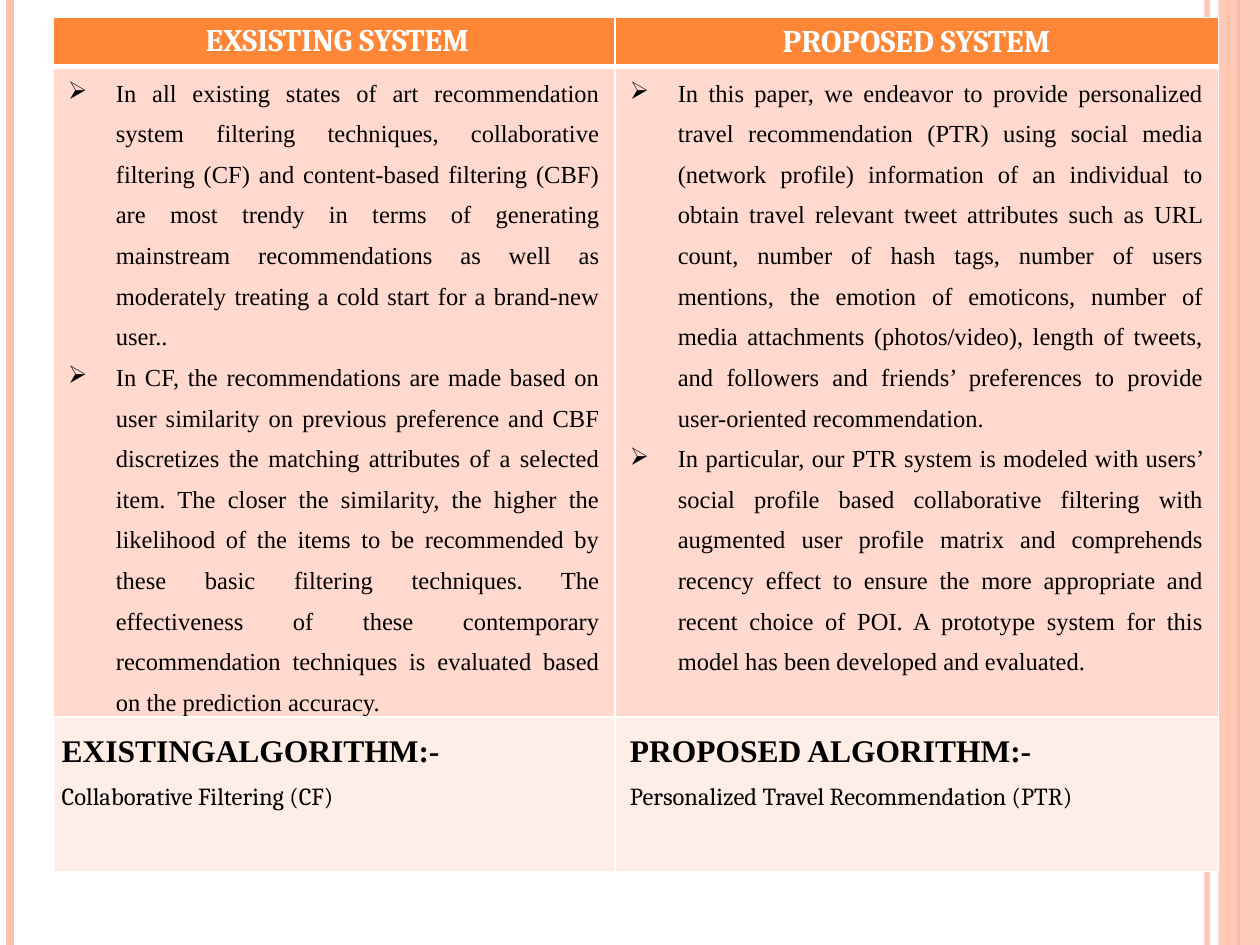
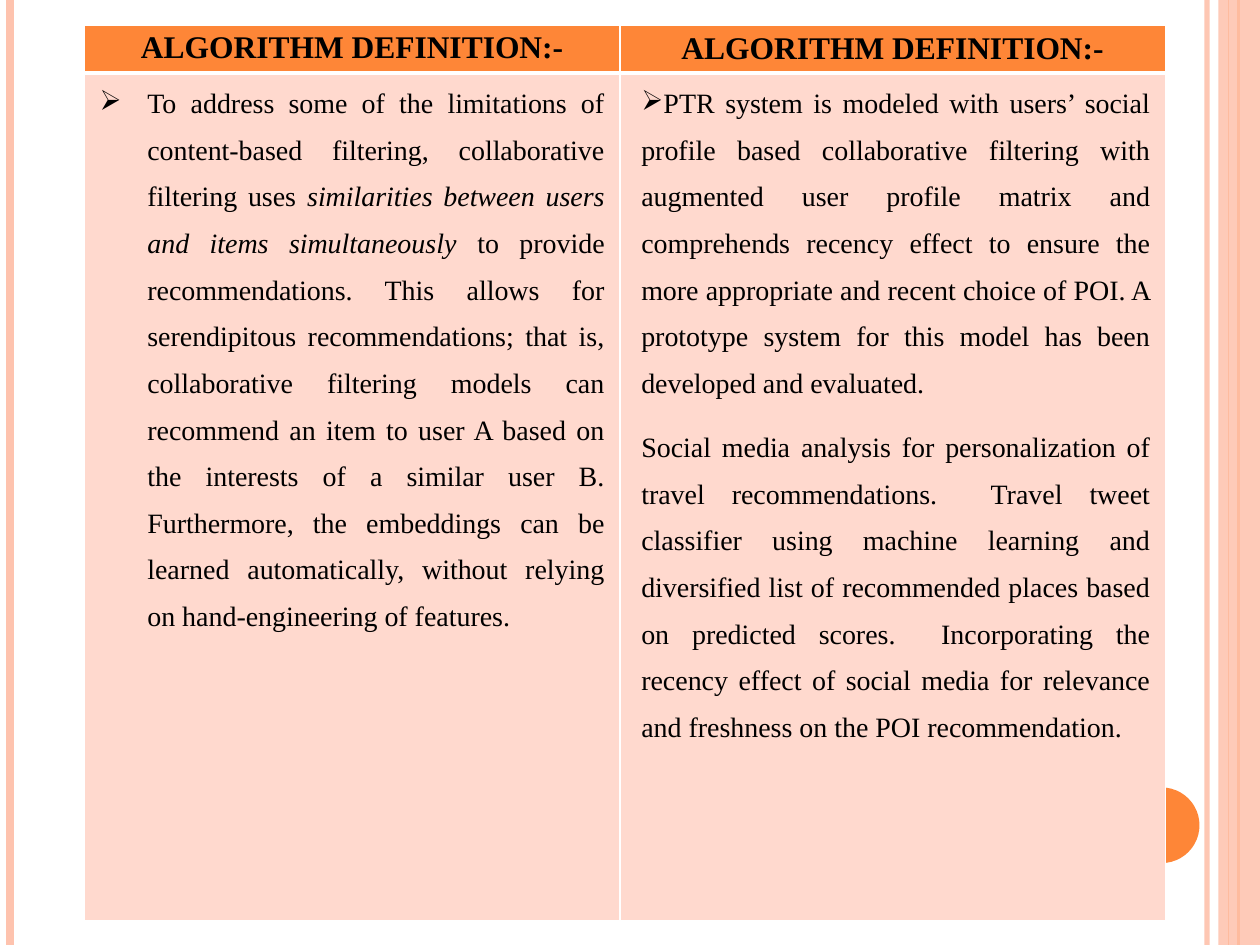
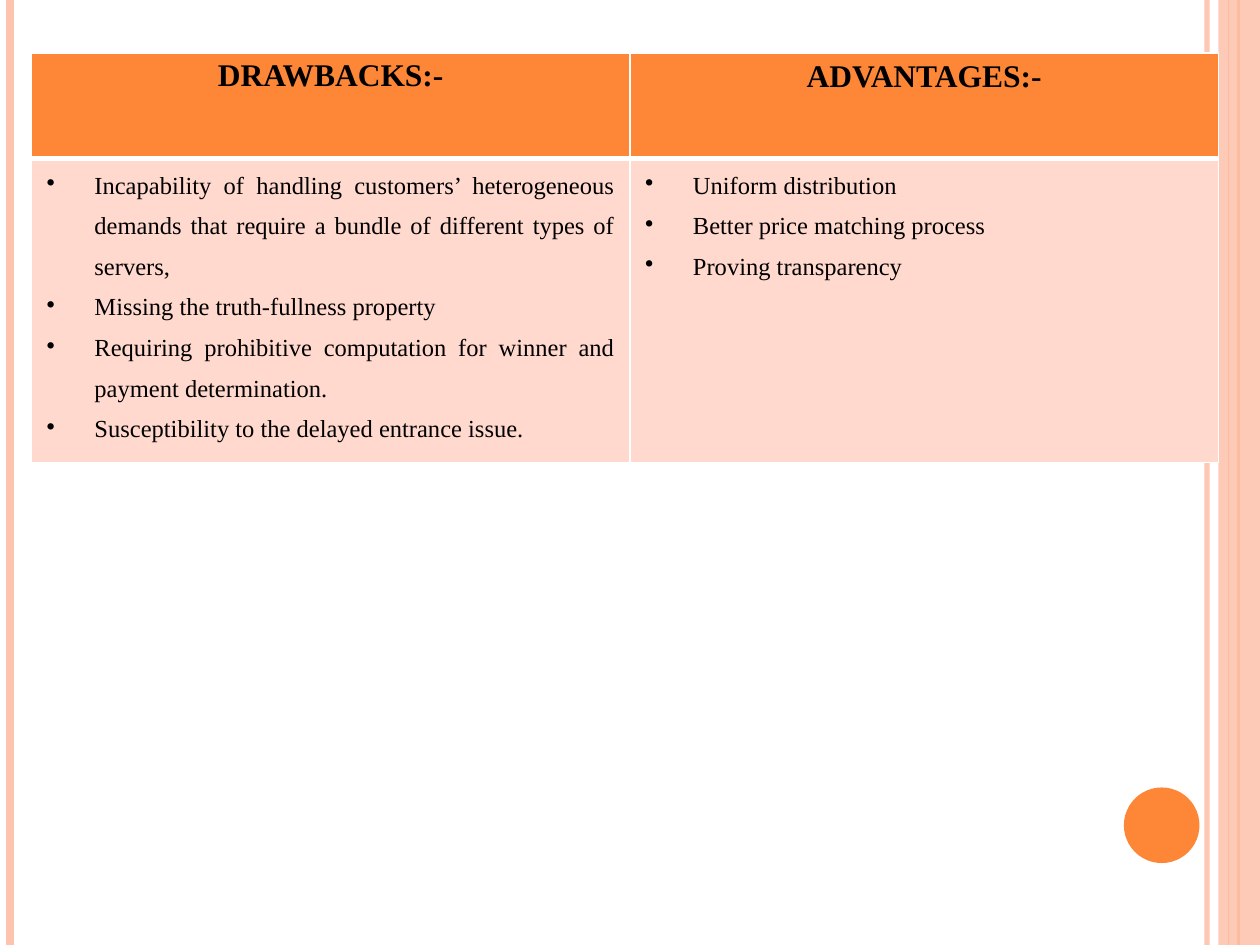
from lxml.etree import SubElement
from pptx import Presentation
from pptx.dml.color import RGBColor
from pptx.enum.shapes import MSO_CONNECTOR as LINK, MSO_SHAPE as SHAPE
from pptx.enum.text import PP_ALIGN as ALIGN
from pptx.oxml.ns import qn
from pptx.util import Pt

ORANGE = RGBColor(0xFE, 0x86, 0x37)
PEACH = RGBColor(0xFE, 0xC3, 0xAE)
BLUSH = RGBColor(0xFF, 0xD9, 0xCE)
PALE = RGBColor(0xFF, 0xED, 0xE8)
WHITE = RGBColor(0xFF, 0xFF, 0xFF)
BLACK = RGBColor(0, 0, 0)
FILLS = (ORANGE, BLUSH, PALE)

SERIF, CAMBRIA = "Times New Roman", "Cambria"
SCALE = 9144  # EMU per px, 100 px to the inch
WIDE, HIGH = 1000, 750
ARROW, DOT = "➢", "•"
HANG = 38

# Bands: x, colour, width in points, opacity in percent
BANDS = [
    (958, PEACH, 3, 93),
    (8, PEACH, 4.5, 100),
    (983, ORANGE, 1.5, 100),
    (975, ORANGE, 0.75, 100),
]


def para(*runs, size=14, font=SERIF, bold=False, mark=None, left=0, hang=0, after=0):
    """One justified body paragraph; a run is a text or a (text, italic) pair."""
    return dict(runs=runs, size=size, font=font, bold=bold, mark=mark,
                left=left, hang=hang, after=after)


def item(*runs, mark=ARROW, size=14):
    return para(*runs, size=size, mark=mark, left=HANG, hang=-HANG)


def dots(*texts):
    return [item(text, mark=DOT) for text in texts]


def method(head, name, left=0):
    return [para(head, size=18, bold=True, left=left),
            para(name, font=CAMBRIA, left=left)]


SLIDES = [
    dict(
        at=(42, 14), cols=(446, 479), rows=(36, 495, 123),
        heads=(" EXSISTING SYSTEM", "PROPOSED SYSTEM"), font=CAMBRIA, ink=WHITE,
        body=[
            ([item("In all existing states of art recommendation system filtering techniques, "
                   "collaborative filtering (CF) and content-based filtering (CBF) are most "
                   "trendy in terms of generating mainstream recommendations as well as "
                   "moderately treating a cold start for a brand-new user.."),
              item("In CF, the recommendations are made based on user similarity on previous "
                   "preference and CBF discretizes the matching attributes of a selected item. "
                   "The closer the similarity, the higher the likelihood of the items to be "
                   "recommended by these basic filtering techniques. The effectiveness of these "
                   "contemporary recommendation techniques is evaluated based on the prediction "
                   "accuracy.")],
             [item("In this paper, we endeavor to provide personalized travel recommendation "
                   "(PTR) using social media (network profile) information of an individual to "
                   "obtain travel relevant tweet attributes such as URL count, number of hash "
                   "tags, number of users mentions, the emotion of emoticons, number of media "
                   "attachments (photos/video), length of tweets, and followers and friends’ "
                   "preferences to provide user-oriented recommendation."),
              item("In particular, our PTR system is modeled with users’ social profile based "
                   "collaborative filtering with augmented user profile matrix and comprehends "
                   "recency effect to ensure the more appropriate and recent choice of POI. A "
                   "prototype system for this model has been developed and evaluated.")]),
            (method("EXISTINGALGORITHM:-", "Collaborative Filtering (CF)"),
             method("PROPOSED ALGORITHM:-", "Personalized Travel Recommendation (PTR)", left=5)),
        ]),
    dict(
        at=(67, 20), cols=(425, 433), rows=(38, 673),
        heads=("ALGORITHM DEFINITION:-",) * 2, font=SERIF, ink=BLACK,
        body=[
            ([item("To address some of the limitations of content-based filtering, "
                   "collaborative filtering uses ",
                   ("similarities between users and items simultaneously", True),
                   " to provide recommendations. This allows for serendipitous "
                   "recommendations; that is, collaborative filtering models can recommend an "
                   "item to user A based on the interests of a similar user B. Furthermore, the "
                   "embeddings can be learned automatically, without relying on "
                   "hand-engineering of features.", size=16)],
             [para("PTR system is modeled with users’ social profile based collaborative "
                   "filtering with augmented user profile matrix and comprehends recency effect "
                   "to ensure the more appropriate and recent choice of POI. A prototype system "
                   "for this model has been developed and evaluated.",
                   size=16, mark=ARROW, left=5, after=10),
              para("Social media analysis for personalization of travel recommendations.  "
                   "Travel tweet classifier using machine learning and diversified list of "
                   "recommended places based on predicted scores.  Incorporating the recency "
                   "effect of social media for relevance and freshness on the POI "
                   "recommendation.", size=16, left=5, after=10)]),
        ]),
    dict(
        at=(25, 42), cols=(475, 467), rows=(84, 241),
        heads=("DRAWBACKS:-", "ADVANTAGES:-"), font=SERIF, ink=BLACK,
        body=[
            (dots("Incapability of handling customers’ heterogeneous demands that require a "
                  "bundle of different types of servers,",
                  "Missing the truth-fullness property",
                  "Requiring prohibitive computation for winner and payment determination.",
                  "Susceptibility to the delayed entrance issue."),
             dots("Uniform distribution",
                  "Better price matching process",
                  "Proving transparency")),
        ]),
]


def px(num):
    return num * SCALE


def fade(shape, share):
    if share < 100:
        for tint in shape.element.iter(qn("a:srgbClr")):
            SubElement(tint, qn("a:alpha"), val=str(share * 1000))


def block(shapes, kind, box, color, share=100):
    shape = shapes.add_shape(kind, *map(px, box))
    shape.shadow.inherit = False
    shape.fill.solid()
    shape.fill.fore_color.rgb = color
    shape.line.fill.background()
    fade(shape, share)


def band(shapes, x, color, width, share):
    line = shapes.add_connector(LINK.STRAIGHT, px(x), 0, px(x), px(HIGH))
    line.line.color.rgb = color
    line.line.width = Pt(width)
    fade(line, share)
    SubElement(line.element.find(qn("p:spPr")), qn("a:effectLst"))


def dress(layout, slide):
    """Draw the shared bands on a slide, then move them to its layout."""
    for spot in list(layout.placeholders):
        layout.shapes.element.remove(spot.element)
    for spec_row in BANDS:
        band(slide.shapes, *spec_row)
    block(slide.shapes, SHAPE.RECTANGLE, (967, 0, 33, HIGH), PEACH, 87)
    block(slide.shapes, SHAPE.OVAL, (892, 625, 60, 60), ORANGE)
    for shape in list(slide.shapes):
        layout.shapes.element.append(shape.element)


def edge(cell, row):
    """White borders, with a thick rule under the header row."""
    props = cell._tc.get_or_add_tcPr()
    thick = {(0, "B"): 3, (1, "T"): 3}
    for side in "LRTB":
        line = SubElement(props, qn(f"a:ln{side}"), w=str(Pt(thick.get((row, side), 1))))
        fill = SubElement(line, qn("a:solidFill"))
        SubElement(fill, qn("a:srgbClr"), val=str(WHITE))


def pad(cell, side):
    cell.margin_left = cell.margin_right = px(side)
    cell.margin_top = cell.margin_bottom = 0


def write(line, text, size, font, bold, ink, slant=False):
    run = line.add_run()
    run.text = text
    face = run.font
    face.size, face.name, face.bold, face.italic = Pt(size), font, bold, slant
    face.color.rgb = ink


def head(cell, text, col, font, ink):
    line = cell.text_frame.paragraphs[0]
    line.alignment = ALIGN.CENTER
    if col == 0:
        pad(cell, 12)
        line.line_spacing = 1.15
        line.space_after = Pt(10)
    write(line, text, 18, font, True, ink)


def fill_body(cell, paras, side):
    pad(cell, side)
    frame = cell.text_frame
    for num, part in enumerate(paras):
        line = frame.add_paragraph() if num else frame.paragraphs[0]
        line.alignment = ALIGN.JUSTIFY
        line.line_spacing = 1.5
        line.space_after = Pt(part["after"])
        props = line._p.get_or_add_pPr()
        props.set("marL", str(px(part["left"])))
        props.set("indent", str(px(part["hang"])))
        if part["mark"]:
            SubElement(props, qn("a:buChar"), char=part["mark"])
        for run in part["runs"]:
            text, slant = (run, False) if isinstance(run, str) else run
            write(line, text, part["size"], part["font"], part["bold"], BLACK, slant)


def grid(slide, data):
    cols, rows = data["cols"], data["rows"]
    box = (*data["at"], sum(cols), sum(rows))
    table = slide.shapes.add_table(len(rows), len(cols), *map(px, box)).table
    for col, width in enumerate(cols):
        table.columns[col].width = px(width)
    for row, height in enumerate(rows):
        table.rows[row].height = px(height)
        for col in range(len(cols)):
            cell = table.cell(row, col)
            edge(cell, row)
            cell.fill.solid()
            cell.fill.fore_color.rgb = FILLS[row]
            if row == 0:
                head(cell, data["heads"][col], col, data["font"], data["ink"])
            else:
                fill_body(cell, data["body"][row - 1][col], 12 if row == 1 else 7)


def main():
    deck = Presentation()
    deck.slide_width, deck.slide_height = px(WIDE), px(HIGH)
    blank = deck.slide_layouts[6]
    for num, data in enumerate(SLIDES):
        slide = deck.slides.add_slide(blank)
        if num == 0:
            dress(blank, slide)
        grid(slide, data)
    deck.save("out.pptx")


if __name__ == "__main__":
    main()
